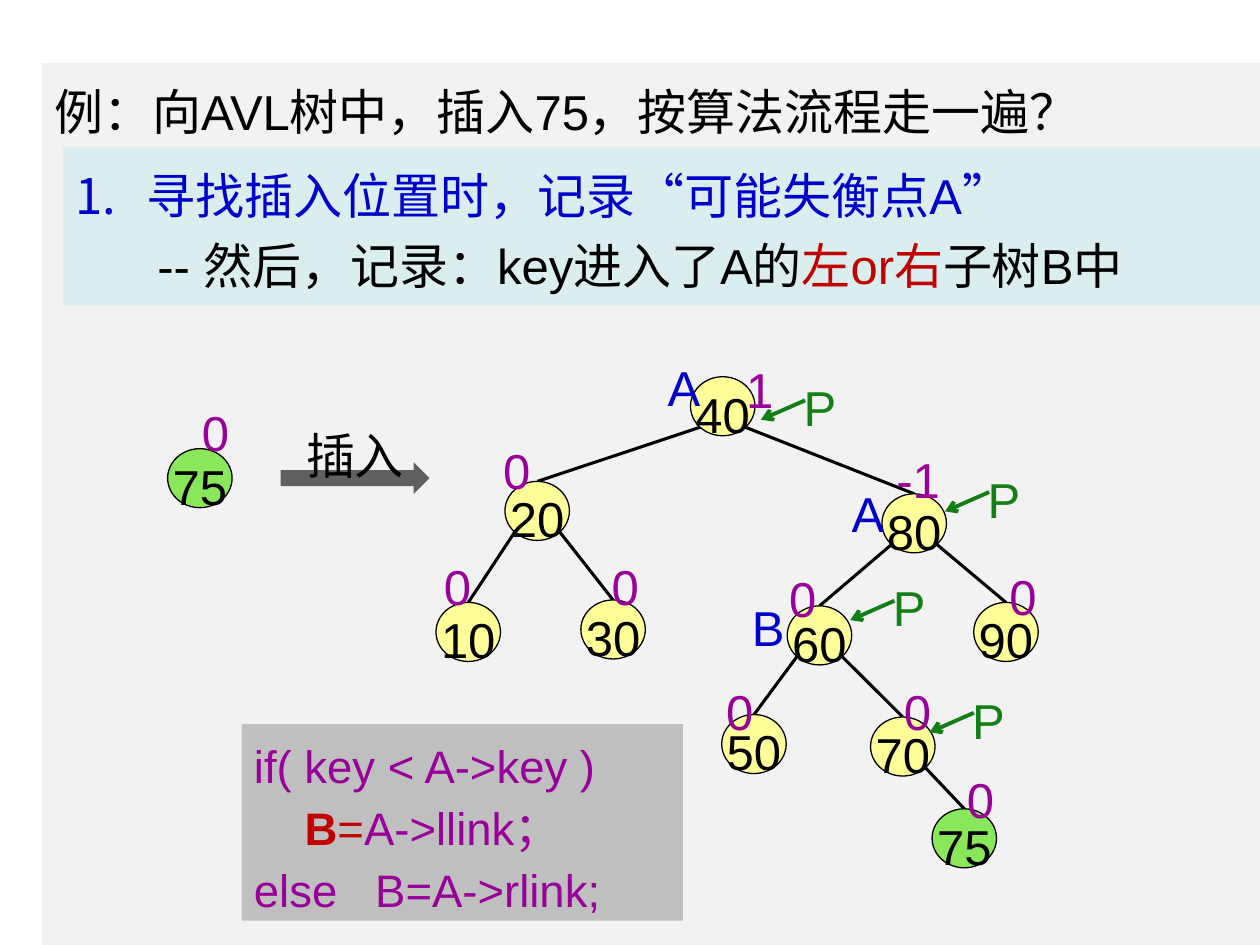
from dataclasses import dataclass

from lxml.etree import SubElement
from pptx import Presentation
from pptx.dml.color import RGBColor
from pptx.enum.shapes import MSO_CONNECTOR as Connector, MSO_SHAPE as Preset
from pptx.enum.text import MSO_ANCHOR as Anchor, MSO_AUTO_SIZE as AutoSize, PP_ALIGN as Align
from pptx.oxml.ns import qn
from pptx.util import Cm, Pt


@dataclass(frozen=True)
class Theme:
    font: str = "Arial"
    text_size: int = 28
    code_size: int = 26
    edge_width: float = 1.75
    pointer_width: float = 2.25
    outline_width: float = 0.75
    black: str = "000000"
    blue: str = "0000CC"
    red: str = "C00000"
    purple: str = "990099"
    green: str = "137F16"
    node_fill: str = "FFFF99"
    new_node_fill: str = "8AE75B"
    title_fill: str = "F2F2F2"
    body_fill: str = "DAEDEF"
    code_fill: str = "BFBFBF"
    arrow_fill: str = "606060"


@dataclass(frozen=True)
class Node:
    key: str
    x: float
    y: float
    balance: str
    balance_left: float
    balance_top: float
    parent: int | None = None
    is_new: bool = False


@dataclass(frozen=True)
class Label:
    text: str
    left: float
    top: float
    color: str
    width: float = 1.17
    align: Align = Align.LEFT


THEME = Theme()
NODE_WIDTH, NODE_HEIGHT = 1.3, 1.19
EDGE_DX, EDGE_DY = 0.45, 0.42
LABEL_HEIGHT = 1.68

NODES = [
    Node("40", 14.57, 8.19, "1", 14.78, 6.83),
    Node("20", 10.83, 10.3, "0", 9.88, 8.46, 0),
    Node("80", 18.43, 10.55, "-1", 17.81, 8.64, 0),
    Node("10", 9.44, 12.74, "0", 8.69, 10.8, 1),
    Node("30", 12.36, 12.69, "0", 12.07, 10.8, 1),
    Node("60", 16.52, 12.81, "0", 15.65, 11.05, 2),
    Node("90", 20.28, 12.74, "0", 20.09, 11, 2),
    Node("50", 15.2, 15, "0", 14.38, 13.31, 5),
    Node("70", 18.2, 15.05, "0", 17.96, 13.31, 5),
    Node("75", 19.44, 16.9, "0", 19.23, 15.09, 8, True),
    Node("75", 4.03, 9.64, "0", 3.81, 7.7, is_new=True),
]
MARKS = [
    Label("A", 13.21, 6.78, THEME.blue),
    Label("A", 16.92, 9.32, THEME.blue),
    Label("B", 14.91, 11.63, THEME.blue),
    Label("插入", 5.92, 8.15, THEME.black, 2.51),
]
POINTERS = [(15.95, 7.19), (19.66, 9.04), (17.75, 11.23), (19.35, 13.49)]


def rgb(color: str) -> RGBColor:
    return RGBColor.from_string(color)


def place(shape, left: float, top: float, width: float, height: float) -> None:
    shape.left, shape.top = Cm(left), Cm(top)
    shape.width, shape.height = Cm(width), Cm(height)


def paint(shape, color: str) -> None:
    shape.fill.solid()
    shape.fill.fore_color.rgb = rgb(color)


def add_preset(page, preset: Preset, bounds: tuple, color: str):
    shape = page.shapes.add_shape(preset, *map(Cm, bounds))
    shape.shadow.inherit = False
    paint(shape, color)
    shape.line.fill.background()
    return shape


def write(para, spans: list, align: Align, spacing: float, size: int = THEME.text_size) -> None:
    para.alignment, para.line_spacing, para.space_before = align, spacing, Pt(0)
    para.font.name, para.font.size = THEME.font, Pt(size)
    para.font.color.rgb = rgb(spans[0][1])
    for text, color, *bold in spans:
        span = para.add_run()
        span.text = text
        if color != spans[0][1]:
            span.font.color.rgb = rgb(color)
        if bold:
            span.font.bold = True


def set_bullet(para, tag: str, left: float, indent: float, **attributes: str) -> None:
    properties = para._p.get_or_add_pPr()
    properties.set("marL", str(Cm(left)))
    properties.set("indent", str(Cm(indent)))
    SubElement(properties, qn(tag), attributes)


def add_line(page, start: tuple, end: tuple, color: str, width: float, arrow: bool = False) -> None:
    line = page.shapes.add_connector(Connector.STRAIGHT, *map(Cm, start + end))
    line.line.color.rgb = rgb(color)
    line.line.width = Pt(width)
    if arrow:
        SubElement(line.line._get_or_add_ln(), qn("a:tailEnd"), type="arrow")
    SubElement(line._element.spPr, qn("a:effectLst"))


def add_edge(page, parent: Node, child: Node) -> None:
    side = EDGE_DX if child.x > parent.x else -EDGE_DX
    start = (parent.x + side, parent.y + EDGE_DY)
    add_line(page, start, (child.x, child.y - NODE_HEIGHT / 2), THEME.black, THEME.edge_width)


def add_node(page, node: Node) -> None:
    bounds = (node.x - NODE_WIDTH / 2, node.y - NODE_HEIGHT / 2, NODE_WIDTH, NODE_HEIGHT)
    fill = THEME.new_node_fill if node.is_new else THEME.node_fill
    circle = add_preset(page, Preset.OVAL, bounds, fill)
    circle.line.color.rgb = rgb(THEME.black)
    circle.line.width = Pt(THEME.outline_width)
    frame = circle.text_frame
    frame.word_wrap, frame.vertical_anchor = False, Anchor.MIDDLE
    write(frame.paragraphs[0], [(node.key, THEME.black)], Align.CENTER, 1.25)


def add_label(page, label: Label) -> None:
    bounds = (label.left, label.top, label.width, LABEL_HEIGHT)
    frame = page.shapes.add_textbox(*map(Cm, bounds)).text_frame
    frame.word_wrap, frame.auto_size = False, AutoSize.SHAPE_TO_FIT_TEXT
    write(frame.paragraphs[0], [(label.text, label.color)], label.align, 1.25)


def add_pointer(page, left: float, top: float) -> None:
    add_label(page, Label("P", left, top, THEME.green))
    add_line(page, (left + 0.28, top + 0.88), (left - 0.61, top + 1.27),
             THEME.green, THEME.pointer_width, arrow=True)


def fill_placeholders(page) -> None:
    title, body = page.placeholders
    place(title, 0.84, 1.27, 24.56, 17.78)
    place(body, 1.27, 2.97, 24.13, 3.18)
    for box, color in ((title, THEME.title_fill), (body, THEME.body_fill)):
        paint(box, color)
        box.text_frame.word_wrap = True
        box.text_frame.auto_size = AutoSize.NONE
        box.text_frame.vertical_anchor = Anchor.TOP
    write(title.text_frame.paragraphs[0],
          [("例：向AVL树中，插入75，按算法流程走一遍？", THEME.black)], Align.JUSTIFY, 1.2)
    step, detail = body.text_frame.paragraphs[0], body.text_frame.add_paragraph()
    set_bullet(step, "a:buAutoNum", 1.43, -1.43, type="arabicPeriod")
    write(step, [("寻找插入位置时，记录“可能失衡点A”", THEME.blue)], Align.JUSTIFY, 1.2)
    set_bullet(detail, "a:buNone", 1.65, 0)
    write(detail, [("-- 然后，记录：key进入了A的", THEME.black), ("左or右", THEME.red),
                   ("子树B中", THEME.black)], Align.JUSTIFY, 1.2)


def add_code(page) -> None:
    frame = add_preset(page, Preset.RECTANGLE, (4.87, 14.6, 8.9, 3.96), THEME.code_fill).text_frame
    frame.word_wrap, frame.vertical_anchor = True, Anchor.TOP
    lines = [
        [("if( key < A->key )", THEME.purple)],
        [("    ", THEME.purple), ("B", THEME.red, True), ("=", THEME.red),
         ("A->llink；", THEME.purple)],
        [("else   B=A->rlink;", THEME.purple)],
    ]
    for index, spans in enumerate(lines):
        para = frame.add_paragraph() if index else frame.paragraphs[0]
        write(para, spans, Align.JUSTIFY, 1.14, THEME.code_size)


def main() -> None:
    deck = Presentation()
    deck.slide_width, deck.slide_height = Cm(25.4), Cm(19.05)
    page = deck.slides.add_slide(deck.slide_layouts[1])
    fill_placeholders(page)
    for node in NODES:
        if node.parent is not None:
            add_edge(page, NODES[node.parent], node)
    for node in NODES:
        add_node(page, node)
    add_preset(page, Preset.RIGHT_ARROW, (5.66, 9.32, 3, 0.64), THEME.arrow_fill)
    for node in NODES:
        width = 1.07 if len(node.balance) == 1 else 1.4
        add_label(page, Label(node.balance, node.balance_left, node.balance_top,
                              THEME.purple, width, Align.CENTER))
    for mark in MARKS:
        add_label(page, mark)
    for left, top in POINTERS:
        add_pointer(page, left, top)
    add_code(page)
    deck.save("out.pptx")


if __name__ == "__main__":
    main()
